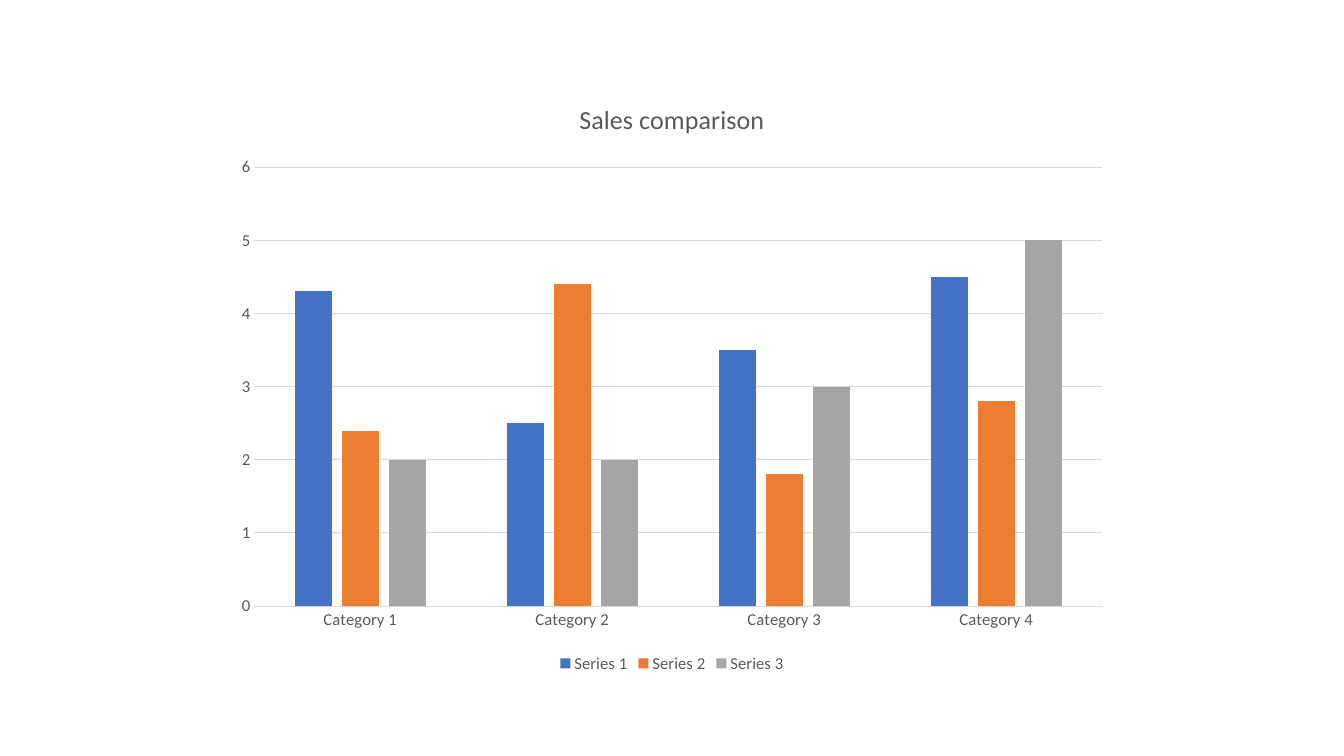
from pptx import Presentation
from pptx.chart.data import CategoryChartData
from pptx.dml.color import RGBColor
from pptx.enum.chart import XL_CHART_TYPE, XL_LEGEND_POSITION, XL_TICK_MARK
from pptx.util import Inches, Pt

COLUMN = XL_CHART_TYPE.COLUMN_CLUSTERED
BOTTOM = XL_LEGEND_POSITION.BOTTOM
NO_TICK = XL_TICK_MARK.NONE
FONT = "Calibri"
GREY = "595959"
RULE = "D9D9D9"
CATS = [f"Category {n}" for n in range(1, 5)]
SERIES = [
    ("Series 1", (4.3, 2.5, 3.5, 4.5), "4472C4"),
    ("Series 2", (2.4, 4.4, 1.8, 2.8), "ED7D31"),
    ("Series 3", (2, 2, 3, 5), "A5A5A5"),
]


def paint(target, color):
    target.rgb = RGBColor.from_string(color)


def style_font(font, size):
    font.name = FONT
    font.size = Pt(size)
    font.bold = False
    paint(font.color, GREY)


def style_line(line):
    paint(line.color, RULE)
    line.width = Pt(0.75)


def style_title(chart, text):
    chart.has_title = True
    frame = chart.chart_title.text_frame
    frame.text = text
    style_font(frame.paragraphs[0].runs[0].font, 18.6)
    chart.chart_title.include_in_layout = False


def style_axes(chart):
    for axis in (chart.category_axis, chart.value_axis):
        axis.major_tick_mark = NO_TICK
        axis.minor_tick_mark = NO_TICK
        style_font(axis.tick_labels.font, 11.9)
    style_line(chart.category_axis.format.line)
    values = chart.value_axis
    values.format.line.fill.background()
    values.has_major_gridlines = True
    style_line(values.major_gridlines.format.line)
    values.minimum_scale = 0
    values.maximum_scale = 6
    values.major_unit = 1


def style_bars(chart):
    plot = chart.plots[0]
    plot.gap_width = 219
    plot.overlap = -27
    plot.vary_by_categories = False
    for bars, (name, values, color) in zip(plot.series, SERIES):
        bars.format.fill.solid()
        paint(bars.format.fill.fore_color, color)


def style_legend(chart):
    chart.has_legend = True
    chart.legend.position = BOTTOM
    chart.legend.include_in_layout = False
    style_font(chart.legend.font, 11.9)


def add_sales(slide, left, top, width, height):
    data = CategoryChartData(number_format="General")
    data.categories = CATS
    for name, values, color in SERIES:
        data.add_series(name, values)
    box = [Inches(n) for n in (left, top, width, height)]
    chart = slide.shapes.add_chart(COLUMN, *box, data).chart
    style_font(chart.font, 11.9)
    style_title(chart, "Sales comparison")
    style_axes(chart)
    style_bars(chart)
    style_legend(chart)


def main():
    deck = Presentation()
    deck.slide_width = Inches(13.33)
    deck.slide_height = Inches(7.5)
    slide = deck.slides.add_slide(deck.slide_layouts[6])
    add_sales(slide, 2.22, 0.79, 8.89, 5.93)
    deck.save("out.pptx")


if __name__ == "__main__":
    main()
